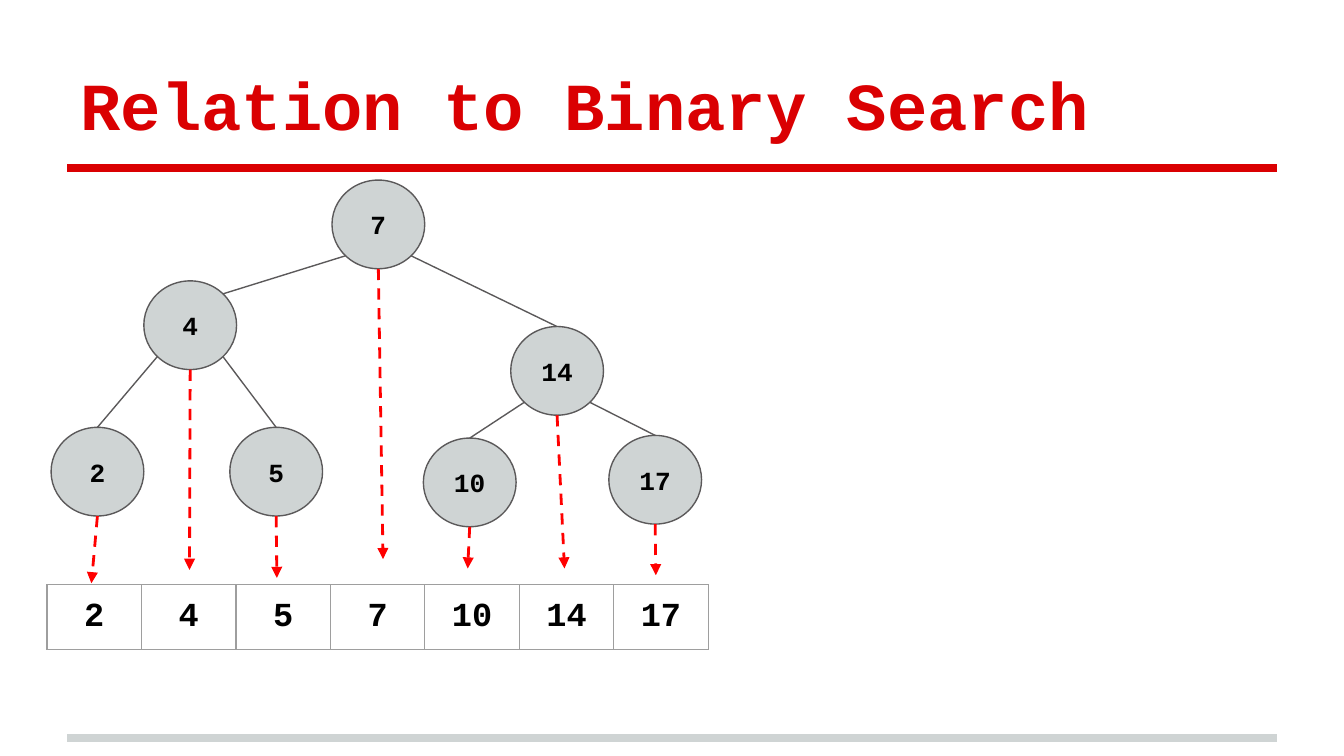
from lxml.etree import SubElement
from pptx import Presentation
from pptx.dml.color import RGBColor
from pptx.enum.dml import MSO_LINE
from pptx.enum.shapes import MSO_CONNECTOR, MSO_SHAPE
from pptx.enum.text import MSO_ANCHOR, MSO_AUTO_SIZE, PP_ALIGN
from pptx.oxml.ns import qn
from pptx.util import Inches, Pt

COLORS = {"red": "DA0002", "arrow": "FF0000", "gray": "CFD4D4",
          "outline": "5B595A", "border": "9E9E9E", "text": "000000"}
NODE_W, NODE_H = 0.69, 0.66
DIAG = 0.5 * 0.5 ** 0.5


def write(tf, text, size, color, align):
    tf.text = text
    p = tf.paragraphs[0]
    p.alignment = align
    font = p.runs[0].font
    font.name, font.size, font.bold = "Courier New", Pt(size), True
    font.color.rgb = RGBColor.from_string(COLORS[color])


def add_line(start, end, color, width):
    points = [Inches(v) for v in (*start, *end)]
    line = s.shapes.add_connector(MSO_CONNECTOR.STRAIGHT, *points)
    line.line.color.rgb = RGBColor.from_string(COLORS[color])
    line.line.width = Pt(width)
    SubElement(line._element.spPr, qn("a:effectLst"))
    return line


prs = Presentation()
prs.slide_width, prs.slide_height = Inches(10), Inches(10 * 9 / 16)
s = prs.slides.add_slide(prs.slide_layouts[5])

add_line((0.5, 5.49), (9.5, 5.49), "gray", 4)
add_line((0.5, 1.25), (9.5, 1.25), "red", 4)

title = s.shapes.title
title.left, title.top = Inches(0.5), Inches(0.23)
title.width, title.height = Inches(9), Inches(0.94)
tf = title.text_frame
write(tf, "Relation to Binary Search", 36, "red", PP_ALIGN.LEFT)
tf.auto_size = MSO_AUTO_SIZE.NONE
tf.vertical_anchor = MSO_ANCHOR.BOTTOM
tf.margin_left = tf.margin_right = tf.margin_top = tf.margin_bottom = Inches(0.1)

nodes = {7: (2.47, 1.34), 4: (1.07, 2.09), 14: (3.8, 2.43), 5: (1.71, 3.18),
         2: (0.38, 3.18), 10: (3.15, 3.26), 17: (4.53, 3.24)}
centers = {}
ovals = {}
for key, (x, y) in nodes.items():
    sp = s.shapes.add_shape(MSO_SHAPE.OVAL, Inches(x), Inches(y),
                            Inches(NODE_W), Inches(NODE_H))
    sp.shadow.inherit = False
    sp.fill.solid()
    sp.fill.fore_color.rgb = RGBColor.from_string(COLORS["gray"])
    sp.line.color.rgb = RGBColor.from_string(COLORS["outline"])
    sp.line.width = Pt(0.75)
    tf = sp.text_frame
    write(tf, str(key), 14, "text", PP_ALIGN.CENTER)
    tf.vertical_anchor = MSO_ANCHOR.MIDDLE
    tf.margin_left = tf.margin_right = tf.margin_top = tf.margin_bottom = Inches(0.1)
    centers[key] = (x + NODE_W / 2, y + NODE_H / 2)
    ovals[key] = sp

for parent, child in [(7, 4), (4, 2), (4, 5), (7, 14), (14, 17), (14, 10)]:
    (px, py), (cx, cy) = centers[parent], centers[child]
    side = 1 if child > parent else -1
    start = (px + side * DIAG * NODE_W, py + DIAG * NODE_H)
    if child == 4:
        add_line(start, (cx + DIAG * NODE_W, cy - DIAG * NODE_H), "outline", 0.75)
    else:
        edge = add_line(start, (cx, cy - NODE_H / 2), "outline", 0.75)
        edge.end_connect(ovals[child], 0)

values = sorted(nodes)
frame = s.shapes.add_table(1, len(values), Inches(0.35), Inches(4.35),
                           Inches(4.92), Inches(0.42))
table = frame.table
table.first_row = table.horz_banding = False
for cell, value in zip(table.iter_cells(), values):
    write(cell.text_frame, str(value), 18, "text", PP_ALIGN.CENTER)
    cell.margin_left = cell.margin_right = Inches(0.1)
    cell.margin_top = cell.margin_bottom = Inches(0.1)
    tcPr = cell._tc.get_or_add_tcPr()
    for tag in ("a:lnL", "a:lnR", "a:lnT", "a:lnB"):
        ln = SubElement(tcPr, qn(tag), w=str(Pt(0.75)))
        fill = SubElement(ln, qn("a:solidFill"))
        SubElement(fill, qn("a:srgbClr"), val=COLORS["border"])
    cell.fill.background()

tips = [(0.68, 4.34), (1.41, 4.24), (2.06, 4.3), (2.85, 4.16),
        (3.48, 4.23), (4.2, 4.23), (4.88, 4.28)]
for value, tip in zip(values, tips):
    x, y = centers[value]
    arrow = add_line((x, y + NODE_H / 2), tip, "arrow", 1.5)
    arrow.line.dash_style = MSO_LINE.DASH
    SubElement(arrow.line._get_or_add_ln(), qn("a:tailEnd"), type="triangle")

prs.save("out.pptx")
